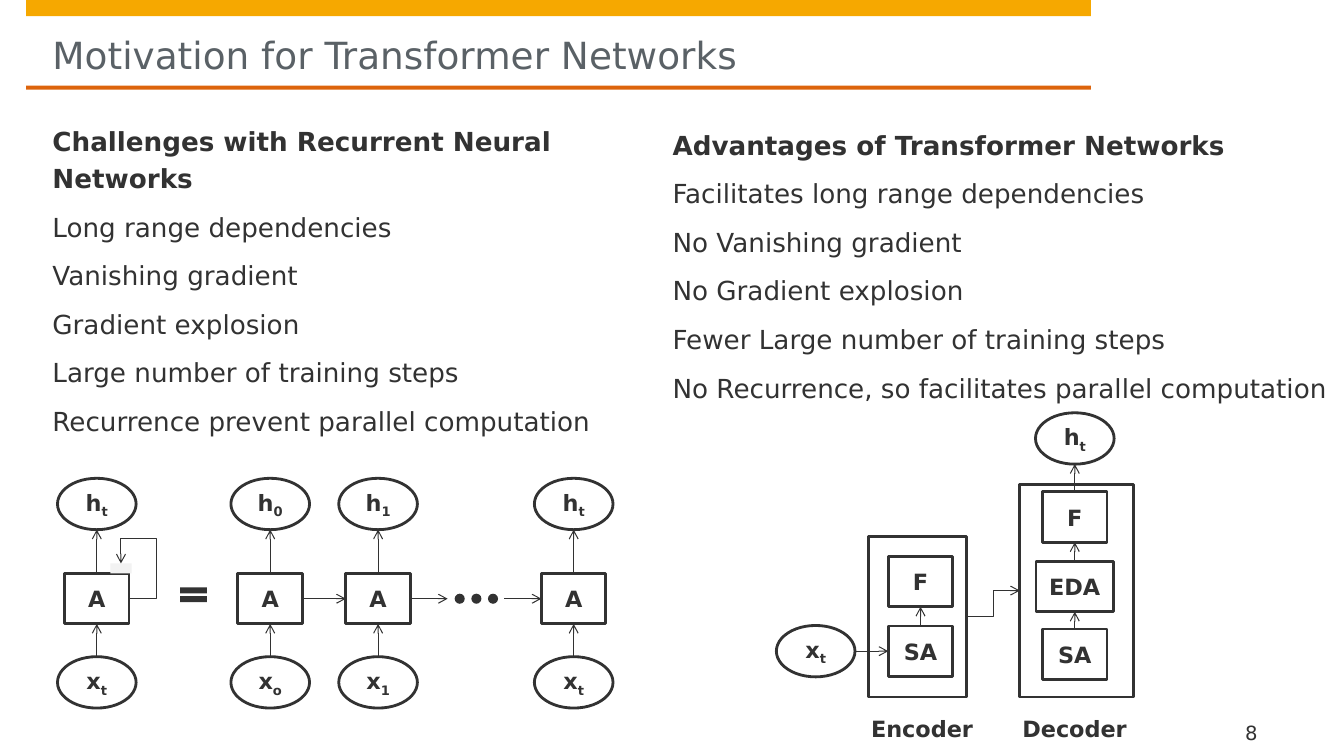
from dataclasses import dataclass

from lxml import etree
from pptx import Presentation
from pptx.dml.color import RGBColor
from pptx.enum.shapes import MSO_CONNECTOR, MSO_SHAPE
from pptx.enum.text import MSO_ANCHOR, MSO_AUTO_SIZE, PP_ALIGN
from pptx.oxml.ns import qn
from pptx.util import Inches, Pt

RECT, OVAL, EQUAL = MSO_SHAPE.RECTANGLE, MSO_SHAPE.OVAL, MSO_SHAPE.MATH_EQUAL
STRAIGHT, ELBOW = MSO_CONNECTOR.STRAIGHT, MSO_CONNECTOR.ELBOW
LEFT, CENTER = PP_ALIGN.LEFT, PP_ALIGN.CENTER
TOP_ANCHOR, MIDDLE, BOTTOM_ANCHOR = MSO_ANCHOR.TOP, MSO_ANCHOR.MIDDLE, MSO_ANCHOR.BOTTOM
NO_FIT = MSO_AUTO_SIZE.NONE
TWO_CONTENT = 3
TOP, LEFT_SIDE, BOTTOM, RIGHT_SIDE = range(4)


@dataclass(frozen=True)
class Theme:
    font: str = "DejaVu Sans"
    ink: str = "323232"
    title: str = "5A6166"
    band: str = "F6A800"
    rule: str = "DD640C"
    paper: str = "FFFFFF"
    patch: str = "F2F2F2"
    title_size: float = 26.7
    list_size: float = 18.7
    label_size: float = 16
    number_size: float = 14
    leading: float = 26.7
    outline: float = 2
    arrow: float = 0.75


THEME = Theme()
BOX, WIDE_BOX, BUBBLE = (0.64, 0.5), (0.77, 0.5), (0.78, 0.51)
ROWS = {"h": 5.0, "A": 5.94, "x": 6.77}
COLUMNS = {0.96: ("t", "t"), 2.68: ("0", "o"), 3.75: ("1", "1"), 5.69: ("t", "t")}
ENCODER, DECODER = 9.13, 10.66
DOTS = [4.56 + 0.165 * step for step in range(3)]

CHALLENGES = [
    "Challenges with Recurrent Neural Networks",
    "Long range dependencies",
    "Vanishing gradient",
    "Gradient explosion",
    "Large number of training steps",
    "Recurrence prevent parallel computation",
]
ADVANTAGES = [
    "Advantages of Transformer Networks",
    "Facilitates long range dependencies",
    "No Vanishing gradient",
    "No Gradient explosion",
    "Fewer Large number of training steps",
    "No Recurrence, so facilitates parallel computation",
]


def apply(target, formats):
    for name, value in formats.items():
        setattr(target, name, value)


def place(shape, left, top, width, height):
    apply(shape, {"left": Inches(left), "top": Inches(top),
                  "width": Inches(width), "height": Inches(height)})


def set_frame(frame, anchor=TOP_ANCHOR, insets=(0, 0, 0, 0)):
    sides = ("margin_left", "margin_top", "margin_right", "margin_bottom")
    apply(frame, {"word_wrap": True, "auto_size": NO_FIT, "vertical_anchor": anchor})
    apply(frame, dict(zip(sides, map(Inches, insets))))


def add_span(para, text, size, color=THEME.ink, bold=False):
    span = para.add_run()
    span.text = text
    apply(span.font, {"name": THEME.font, "size": Pt(size), "bold": bold})
    span.font.color.rgb = RGBColor.from_string(color)
    return span


def add_shape(slide, kind, center, size, fill=None, outlined=False):
    (x, y), (width, height) = center, size
    shape = slide.shapes.add_shape(kind, Inches(x - width / 2), Inches(y - height / 2),
                                   Inches(width), Inches(height))
    shape.shadow.inherit = False
    if fill:
        shape.fill.solid()
        shape.fill.fore_color.rgb = RGBColor.from_string(fill)
    else:
        shape.fill.background()
    if outlined:
        shape.line.color.rgb = RGBColor.from_string(THEME.ink)
        shape.line.width = Pt(THEME.outline)
    else:
        shape.line.fill.background()
    return shape


def add_node(slide, kind, center, size, label, subscript=""):
    node = add_shape(slide, kind, center, size, THEME.paper, outlined=True)
    set_frame(node.text_frame, MIDDLE, (0.12, 0.08, 0.12, 0.08))
    node.text_frame.word_wrap = len(label) == 1
    para = node.text_frame.paragraphs[0]
    apply(para, {"alignment": CENTER, "space_before": Pt(3), "space_after": Pt(3)})
    add_span(para, label, THEME.label_size, bold=True)
    if subscript:
        span = add_span(para, subscript, THEME.label_size, bold=True)
        span.font._element.set("baseline", "-25000")
    return node


def add_arrow(slide, start, end, kind=STRAIGHT):
    arrow = slide.shapes.add_connector(kind, *map(Inches, (*start, *end)))
    arrow.line.color.rgb = RGBColor.from_string(THEME.ink)
    arrow.line.width = Pt(THEME.arrow)
    etree.SubElement(arrow.line._get_or_add_ln(), qn("a:tailEnd"), type="arrow")
    etree.SubElement(arrow._element.spPr, qn("a:effectLst"))
    return arrow


def side_point(node, side):
    across = {LEFT_SIDE: 0, RIGHT_SIDE: 1}.get(side, 0.5)
    down = {TOP: 0, BOTTOM: 1}.get(side, 0.5)
    return ((node.left + across * node.width) / Inches(1),
            (node.top + down * node.height) / Inches(1))


def link(slide, source, source_side, target, target_side):
    """Draw a straight arrow between two nodes, joined wherever it meets a rectangle."""
    arrow = add_arrow(slide, side_point(source, source_side), side_point(target, target_side))
    if source.auto_shape_type == RECT:
        arrow.begin_connect(source, source_side)
    if target.auto_shape_type == RECT:
        arrow.end_connect(target, target_side)
    return arrow


def fill_list(placeholder, lines, area):
    place(placeholder, *area)
    set_frame(placeholder.text_frame)
    for index, line in enumerate(lines):
        frame = placeholder.text_frame
        para = frame.add_paragraph() if index else frame.paragraphs[0]
        apply(para, {"alignment": LEFT, "line_spacing": Pt(THEME.leading),
                     "space_before": Pt(4), "space_after": Pt(4)})
        properties = para._p.get_or_add_pPr()
        properties.set("marL", "0")
        properties.set("indent", "0")
        etree.SubElement(properties, qn("a:buNone"))
        add_span(para, line, THEME.list_size, bold=index == 0)


def add_caption(slide, text, area, size, bold=True, **frame_format):
    box = slide.shapes.add_textbox(*map(Inches, area))
    set_frame(box.text_frame, **frame_format)
    para = box.text_frame.paragraphs[0]
    apply(para, {"space_before": Pt(3), "space_after": Pt(3)})
    add_span(para, text, size, bold=bold)


def add_heading(slide):
    add_shape(slide, RECT, (5.54, 0.08), (10.56, 0.16), THEME.band)
    add_shape(slide, RECT, (5.54, 0.87), (10.56, 0.04), THEME.rule)
    title = slide.shapes.title
    place(title, 0.52, 0.16, 10.03, 0.61)
    set_frame(title.text_frame, insets=(0, 0.16, 0, 0))
    para = title.text_frame.paragraphs[0]
    para.alignment = LEFT
    add_span(para, "Motivation for Transformer Networks", THEME.title_size, THEME.title)


def add_recurrent_network(slide):
    cells = []
    for x, (output_step, input_step) in COLUMNS.items():
        cell = add_node(slide, RECT, (x, ROWS["A"]), BOX, "A")
        source = add_node(slide, OVAL, (x, ROWS["x"]), BUBBLE, "x", input_step)
        output = add_node(slide, OVAL, (x, ROWS["h"]), BUBBLE, "h", output_step)
        link(slide, cell, TOP, output, BOTTOM)
        link(slide, source, TOP, cell, BOTTOM)
        cells.append(cell)
    folded, first, second, last = cells
    add_shape(slide, RECT, (1.2, 5.64), (0.21, 0.1), THEME.patch)
    loop = add_arrow(slide, side_point(folded, RIGHT_SIDE), (1.2, 5.59), ELBOW)
    geometry = loop._element.spPr.find(qn("a:prstGeom"))
    geometry.set("prst", "bentConnector4")
    guides = geometry.find(qn("a:avLst"))
    for name, value in {"adj1": -341500, "adj2": 171200}.items():
        etree.SubElement(guides, qn("a:gd"), name=name, fmla=f"val {value}")
    add_shape(slide, EQUAL, (1.92, 5.9), (0.36, 0.25), THEME.ink)
    link(slide, first, RIGHT_SIDE, second, LEFT_SIDE)
    add_arrow(slide, side_point(second, RIGHT_SIDE), (4.44, ROWS["A"])).begin_connect(second, RIGHT_SIDE)
    add_arrow(slide, (5, ROWS["A"]), side_point(last, LEFT_SIDE)).end_connect(last, LEFT_SIDE)
    for x in DOTS:
        add_shape(slide, OVAL, (x, ROWS["A"]), (0.1, 0.1), THEME.ink)


def add_stack(slide, x, layers):
    """Stack (label, height, size) layers from the bottom up, linked by arrows."""
    nodes = [add_node(slide, RECT, (x, y), size, label) for label, y, size in layers]
    for lower, upper in zip(nodes, nodes[1:]):
        link(slide, lower, TOP, upper, BOTTOM)
    return nodes


def add_transformer(slide):
    encoder = add_stack(slide, ENCODER, [("SA", 6.46, BOX), ("F", 5.77, BOX)])
    decoder = add_stack(slide, DECODER, [("SA", 6.49, BOX), ("EDA", 5.82, WIDE_BOX), ("F", 5.13, BOX)])
    source = add_node(slide, OVAL, (8.09, 6.46), BUBBLE, "x", "t")
    output = add_node(slide, OVAL, (DECODER, 4.35), BUBBLE, "h", "t")
    link(slide, source, RIGHT_SIDE, encoder[0], LEFT_SIDE)
    link(slide, decoder[-1], TOP, output, BOTTOM)
    encoder_frame = add_shape(slide, RECT, (9.1, 6.12), (0.97, 1.59), outlined=True)
    decoder_frame = add_shape(slide, RECT, (10.68, 5.86), (1.13, 2.11), outlined=True)
    add_arrow(slide, side_point(encoder_frame, RIGHT_SIDE), side_point(decoder_frame, LEFT_SIDE), ELBOW)
    for text, left in {"Encoder": 8.64, "Decoder": 10.14}.items():
        add_caption(slide, text, (left, 7.09, 1.13, 0.32), THEME.label_size)


def main():
    deck = Presentation()
    deck.slide_width, deck.slide_height = Inches(13.33), Inches(7.5)
    slide = deck.slides.add_slide(deck.slide_layouts[TWO_CONTENT])
    add_heading(slide)
    fill_list(slide.placeholders[1], CHALLENGES, (0.52, 1.18, 6.09, 3.17))
    fill_list(slide.placeholders[2], ADVANTAGES, (6.67, 1.22, 6.55, 2.79))
    add_recurrent_network(slide)
    add_transformer(slide)
    add_caption(slide, "8", (12.23, 7.09, 0.84, 0.29), THEME.number_size, bold=False,
                anchor=BOTTOM_ANCHOR, insets=(0.12, 0, 0, 0))
    deck.save("out.pptx")


if __name__ == "__main__":
    main()
